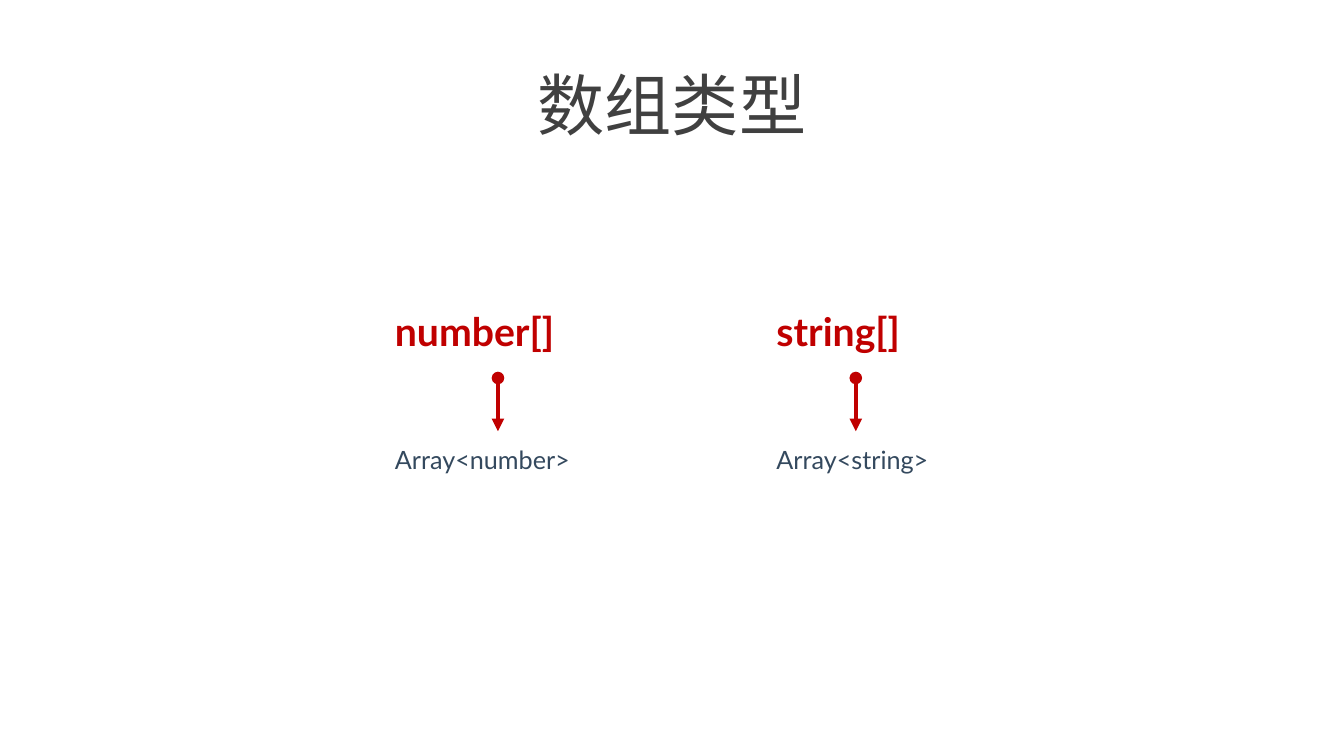
from lxml import etree
from pptx import Presentation
from pptx.dml.color import RGBColor
from pptx.enum import shapes, text
from pptx.oxml import ns
from pptx.util import Pt

GREY = RGBColor(0x40, 0x40, 0x40)
RED = RGBColor(0xC0, 0x00, 0x00)
SLATE = RGBColor(0x34, 0x49, 0x5E)

deck = Presentation()
deck.slide_width, deck.slide_height = Pt(960), Pt(540)
slide = deck.slides.add_slide(deck.slide_layouts[6])


def add_text(words, left, top, width, height, *, size, color, font="Lato",
             bold=False, align=text.PP_ALIGN.LEFT, anchor=text.MSO_ANCHOR.TOP):
    frame = slide.shapes.add_textbox(Pt(left), Pt(top), Pt(width), Pt(height)).text_frame
    frame.word_wrap = True
    frame.vertical_anchor = anchor
    paragraph = frame.paragraphs[0]
    paragraph.alignment = align
    run = paragraph.add_run()
    run.text = words
    run.font.name = font
    run.font.size = Pt(size)
    run.font.bold = bold
    run.font.color.rgb = color
    east_asian = etree.SubElement(run.font._element, ns.qn("a:ea"))
    east_asian.set("typeface", font)


def add_arrow(x, top, bottom):
    """Draw a red downward arrow that starts with a dot."""
    arrow = slide.shapes.add_connector(
        shapes.MSO_CONNECTOR.STRAIGHT, Pt(x), Pt(top), Pt(x), Pt(bottom))
    arrow.line.color.rgb = RED
    arrow.line.width = Pt(3)
    outline = arrow.line._get_or_add_ln()
    for end, kind in (("a:headEnd", "oval"), ("a:tailEnd", "triangle")):
        etree.SubElement(outline, ns.qn(end)).set("type", kind)
    etree.SubElement(arrow._element.spPr, ns.qn("a:effectLst"))


add_text("数组类型", 100, 41.5, 760, 65.5, size=48, color=GREY, font="Noto Sans CJK SC",
         align=text.PP_ALIGN.CENTER, anchor=text.MSO_ANCHOR.MIDDLE)

for element_type, left, arrow_x in (("number", 275, 355.7), ("string", 547.5, 611.3)):
    add_text(f"{element_type}[]", left, 216, 166, 41, size=28, color=RED, bold=True)
    add_arrow(arrow_x, 270, 308)
    add_text(f"Array<{element_type}>", left, 314, 154, 29, size=18, color=SLATE)

deck.save("out.pptx")
